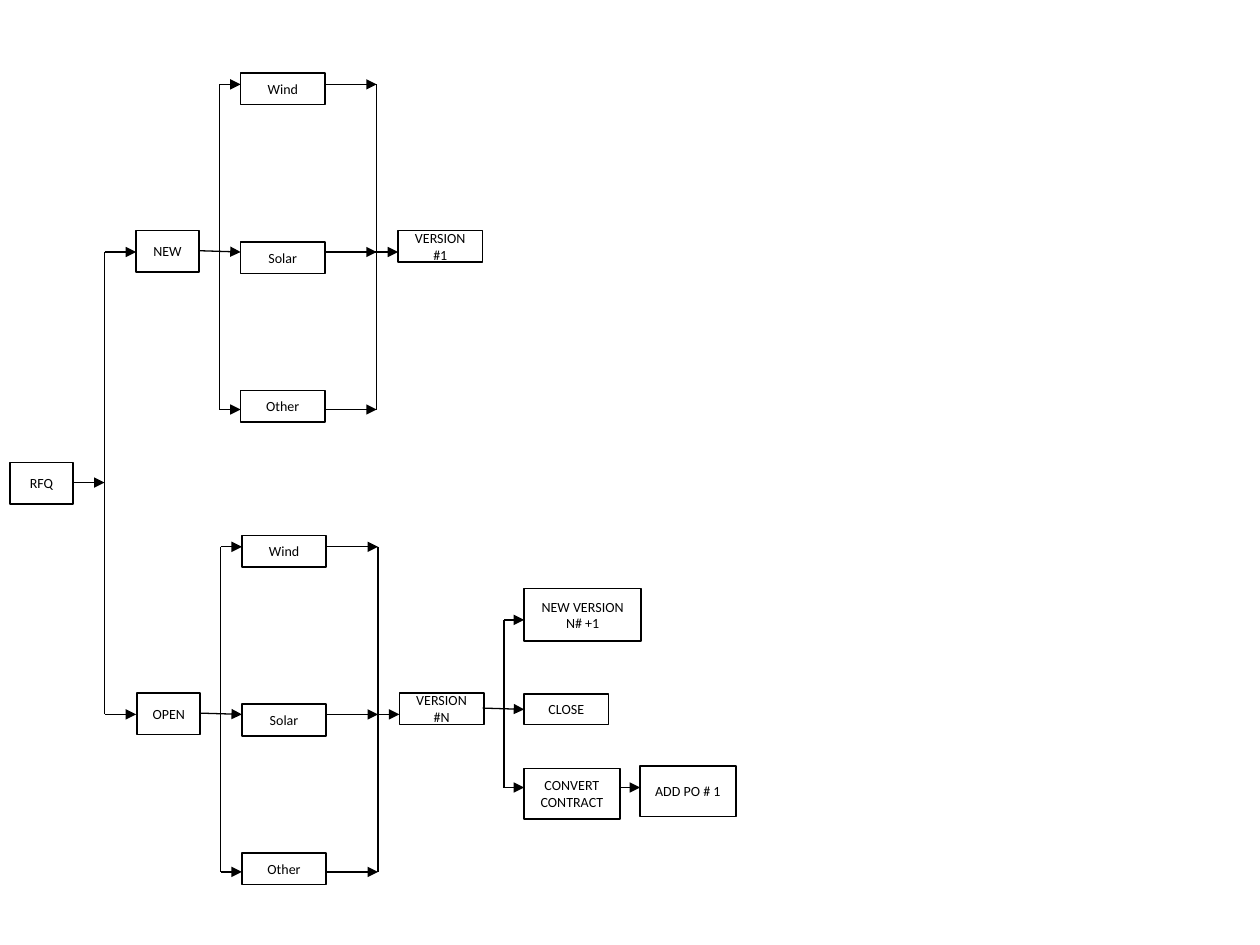
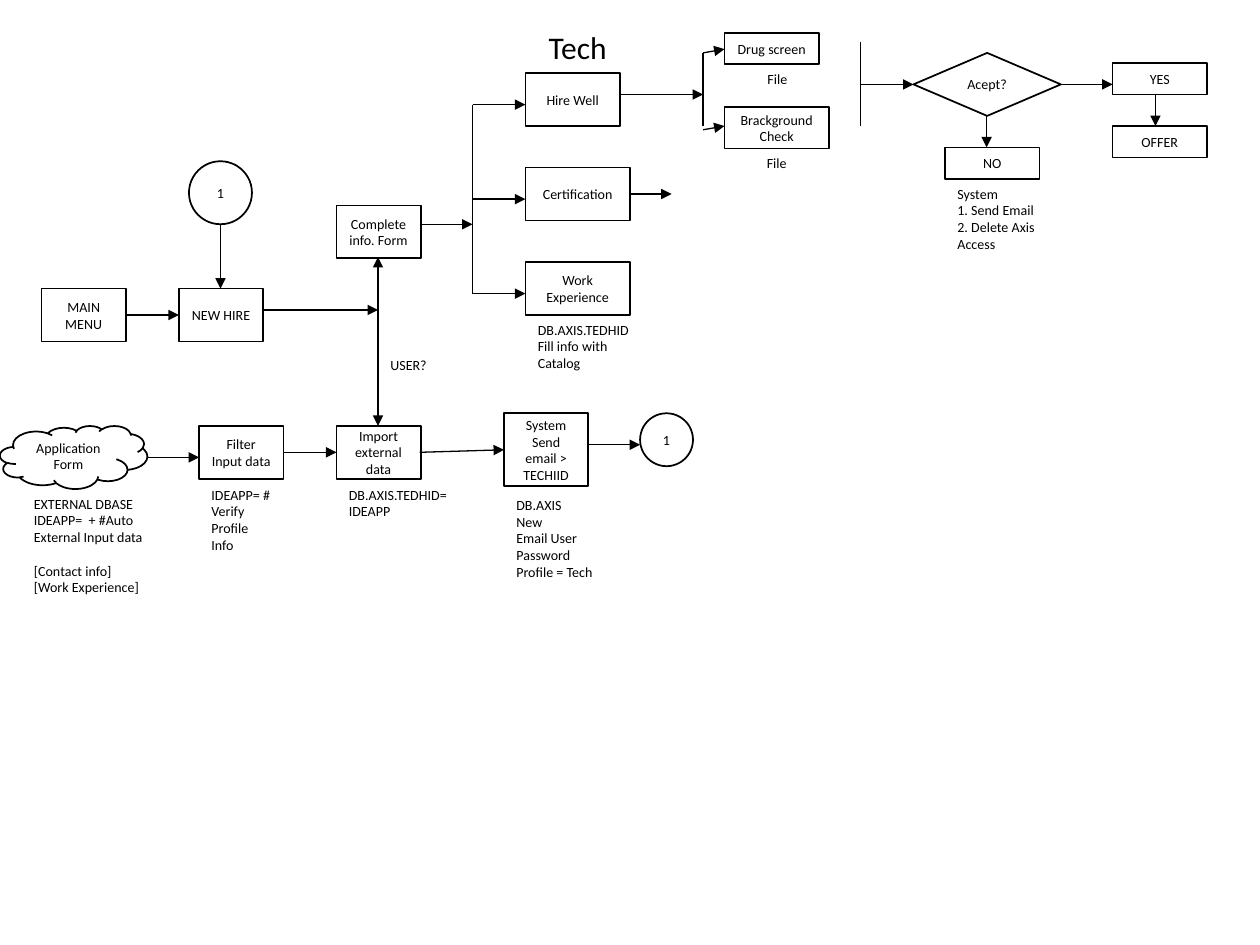
from dataclasses import dataclass

from lxml.etree import SubElement
from pptx import Presentation
from pptx.dml.color import RGBColor
from pptx.enum.shapes import MSO_CONNECTOR, MSO_SHAPE
from pptx.enum.text import MSO_ANCHOR, MSO_AUTO_SIZE, PP_ALIGN
from pptx.oxml.ns import qn
from pptx.util import Cm, Pt


@dataclass(frozen=True)
class Theme:
    """Colours, type sizes and line widths of both slides."""
    ink: RGBColor = RGBColor(0, 0, 0)
    paper: RGBColor = RGBColor(255, 255, 255)
    font: str = "Calibri"
    body: Pt = Pt(8)
    title: Pt = Pt(18)
    gap: Pt = Pt(9.6)
    outline: Pt = Pt(1)
    wire: Pt = Pt(0.75)


THEME = Theme()
CM_PER_UNIT = 2.54  # the drawing grid counts ten units across the slide


def length(units):
    """Turn grid units into a slide length."""
    return Cm(units * CM_PER_UNIT)


def format_text(text_frame, size=THEME.body, align=PP_ALIGN.CENTER):
    """Give every paragraph the theme's type."""
    for paragraph in text_frame.paragraphs:
        paragraph.alignment = align
        for run in paragraph.runs:
            run.font.name = THEME.font
            run.font.size = size
            run.font.bold = False
            run.font.color.rgb = THEME.ink


@dataclass
class Region:
    """A part of the flow chart; its parts are placed from its top left corner."""
    slide: object
    left: float
    top: float

    def place(self, left, top, width, height):
        """Return the slide position of a box inside the region."""
        return (length(self.left + left), length(self.top + top),
                length(width), length(height))

    def box(self, text, left, top, width=0.67, height=0.42,
            kind=MSO_SHAPE.RECTANGLE):
        """Draw an outlined step with centred text."""
        shape = self.slide.shapes.add_shape(
            kind, *self.place(left, top, width, height))
        shape.shadow.inherit = False
        shape.fill.background()
        shape.line.color.rgb = THEME.ink
        shape.line.width = THEME.outline
        text_frame = shape.text_frame
        text_frame.text = text
        text_frame.word_wrap = True
        text_frame.vertical_anchor = MSO_ANCHOR.MIDDLE
        format_text(text_frame)
        return shape

    def note(self, text, left, top, width, height, align=PP_ALIGN.LEFT):
        """Write unframed text beside a step."""
        shape = self.slide.shapes.add_textbox(
            *self.place(left, top, width, height))
        text_frame = shape.text_frame
        text_frame.text = text
        text_frame.word_wrap = True
        text_frame.auto_size = MSO_AUTO_SIZE.SHAPE_TO_FIT_TEXT
        format_text(text_frame, align=align)
        return text_frame

    def line(self, start_x, start_y, end_x, end_y, ends=()):
        """Draw a straight line, with arrowheads at the given ends."""
        connector = self.slide.shapes.add_connector(
            MSO_CONNECTOR.STRAIGHT,
            length(self.left + start_x), length(self.top + start_y),
            length(self.left + end_x), length(self.top + end_y))
        connector.line.color.rgb = THEME.ink
        connector.line.width = THEME.wire
        properties = connector._element.spPr
        for end in ends:
            SubElement(properties.find(qn("a:ln")), qn(f"a:{end}"), type="triangle")
        SubElement(properties, qn("a:effectLst"))

    def arrow(self, start_x, start_y, end_x, end_y):
        """Draw a line with an arrowhead at its end."""
        self.line(start_x, start_y, end_x, end_y, ["tailEnd"])

    def across(self, start_x, end_x, *levels):
        """Draw a level arrow at each height."""
        for level in levels:
            self.arrow(start_x, level, end_x, level)


def draw_request(slide, left, top):
    """The request and its fork into new and open."""
    region = Region(slide, left, top)
    region.box("RFQ", 0, 1.67, 0.5, 0.33)
    region.across(0.5, 0.75, 1.83)
    region.line(0.75, 0, 0.75, 3.67)
    region.across(0.75, 1, 0, 3.67)


def draw_energy_branch(slide, left, top, state, version):
    """A state, its three energy kinds and the version they lead to."""
    region = Region(slide, left, top)
    levels = first, middle, last = 0.09, 1.42, 2.67
    region.box(state, 0, 1.25, 0.5, 0.33)
    for kind, kind_top in (("Wind", 0), ("Solar", 1.34), ("Other", 2.52)):
        region.box(kind, 0.83, kind_top, height=0.25)
    for trunk in (0.66, 1.91):
        region.line(trunk, first, trunk, last)
    region.across(0.66, 0.83, first, last)
    region.arrow(0.5, 1.41, 0.83, middle)
    region.across(1.5, 1.91, *levels)
    region.across(1.83, 2.08, middle)
    region.box(version, 2.08, 1.25, height=0.25)


def draw_outcomes(slide, left, top):
    """What can follow an open version."""
    region = Region(slide, left, top)
    region.box("NEW VERSION N# +1", 0.33, 0, 0.93, 0.42)
    region.box("CLOSE", 0.33, 0.84, 0.67, 0.24)
    region.box("CONVERT CONTRACT", 0.33, 1.43, 0.76, 0.4)
    region.box("ADD PO # 1", 1.25, 1.41, 0.76, 0.4)
    region.line(0.17, 0.25, 0.17, 1.58)
    region.across(0.17, 0.33, 0.25, 1.58)
    region.arrow(0, 0.95, 0.33, 0.96)
    region.across(1.09, 1.25, 1.58)


def draw_title(slide, text, left, top, width, height):
    """Move and format the title placeholder."""
    title = slide.shapes.title
    title.left, title.top, title.width, title.height = map(
        length, (left, top, width, height))
    text_frame = title.text_frame
    text_frame.text = text
    text_frame.word_wrap = False
    text_frame.auto_size = MSO_AUTO_SIZE.NONE
    text_frame.vertical_anchor = MSO_ANCHOR.TOP
    format_text(text_frame, THEME.title)


def draw_hire_entry(slide, left, top):
    """The way from the main menu to the information form."""
    region = Region(slide, left, top)
    region.box("1", 1.17, 0, 0.5, 0.5, MSO_SHAPE.OVAL)
    region.box("MAIN MENU", 0, 1.01)
    region.box("NEW HIRE", 1.09, 1.01)
    region.box("Complete info. Form", 2.34, 0.35)
    region.note("USER?", 2.67, 1.5, 0.67, 0.24)
    region.arrow(1.42, 0.5, 1.42, 1.01)
    region.across(0.67, 1.09, 1.22)
    region.across(1.75, 2.67, 1.18)
    region.across(3, 3.42, 0.5)
    region.line(2.67, 0.76, 2.67, 2.1, ["headEnd", "tailEnd"])


def draw_intake(slide, left, top):
    """The row that takes in an application."""
    region = Region(slide, left, top)
    cloud = region.box("Application Form", 0, 0.1, 1.17, 0.5, MSO_SHAPE.CLOUD)
    cloud.fill.solid()
    cloud.fill.fore_color.rgb = THEME.paper
    region.box("Filter Input data", 1.58, 0.1)
    region.box("Import external data", 2.67, 0.1)
    region.box("System Send email > TECHIID", 4, 0, height=0.58)
    region.box("1", 5.08, 0, 0.42, 0.42, MSO_SHAPE.OVAL)

    source = region.note(
        "EXTERNAL DBASE\nIDEAPP=  + #Auto\nExternal Input data\n"
        "[Contact info]\n[Work Experience]", 0.17, 0.6, 1.08, 0.91)
    source.paragraphs[3].space_before = THEME.gap
    region.note("IDEAPP= #\nVerify Profile Info", 1.58, 0.53, 0.67, 0.64)
    region.note("DB.AXIS.TEDHID=\nIDEAPP", 2.67, 0.53, 1, 0.37)
    region.note("DB.AXIS\nNew\nEmail User\nPassword\nProfile = Tech",
                4, 0.61, 1, 0.77)

    region.across(1.17, 1.58, 0.35)
    region.across(2.25, 2.67, 0.31)
    region.arrow(3.33, 0.31, 4, 0.29)
    region.across(4.67, 5.08, 0.25)


def draw_checks(slide, left, top):
    """The three checks that follow the form."""
    region = Region(slide, left, top)
    pitch = 0.75
    region.line(0, 0.25, 0, 0.25 + 2 * pitch)
    checks = (("Hire Well", 0.75), ("Certification", 0.83), ("Work Experience", 0.83))
    for row, (check, width) in enumerate(checks):
        region.box(check, 0.42, row * pitch, width)
        region.across(0, 0.42, 0.25 + row * pitch)
    region.note("DB.AXIS.TEDHID\nFill info with Catalog", 0.42, 1.92, 1, 0.5)
    region.across(1.17, 1.83, 0.17)
    region.across(1.25, 1.58, 0.96)


def draw_screening(slide, left, top):
    """The two screenings, each with its file."""
    region = Region(slide, left, top)
    region.box("Drug screen", 0.17, 0, 0.75, 0.25)
    region.box("Brackground Check", 0.17, 0.59, 0.83, 0.33)
    region.note("File", 0.09, 0.25, 1, 0.24, PP_ALIGN.CENTER)
    region.note("File", 0.17, 0.92, 0.83, 0.24, PP_ALIGN.CENTER)
    region.line(0, 0.16, 0, 0.74)
    for level in (0.16, 0.77):
        region.arrow(0, level, 0.17, level - 0.03)


def draw_decision(slide, left, top):
    """The decision and both of its answers."""
    region = Region(slide, left, top)
    region.line(0, 0, 0, 0.67)
    region.box("Acept?", 0.42, 0.09, 1.17, 0.5, MSO_SHAPE.FLOWCHART_DECISION)
    for answer, answer_left, answer_top in (
            ("NO", 0.67, 0.84), ("YES", 2, 0.17), ("OFFER", 2, 0.67)):
        region.box(answer, answer_left, answer_top, 0.75, 0.25)
    region.note("System\n1. Send Email\n2. Delete Axis Access",
                0.67, 1.09, 1.08, 0.64)
    region.across(0, 0.42, 0.34)
    region.across(1.59, 2, 0.34)
    region.arrow(1, 0.59, 1, 0.84)
    region.arrow(2.34, 0.42, 2.34, 0.67)


def build_request_slide(presentation):
    """The slide that follows a request for quotation."""
    slide = presentation.slides.add_slide(presentation.slide_layouts[6])
    draw_request(slide, 0.08, 2)
    draw_energy_branch(slide, 1.08, 0.58, "NEW", "VERSION #1")
    draw_energy_branch(slide, 1.09, 4.25, "OPEN", "VERSION #N")
    draw_outcomes(slide, 3.83, 4.67)


def build_hiring_slide(presentation):
    """The slide that follows a technician's hiring."""
    slide = presentation.slides.add_slide(presentation.slide_layouts[5])
    draw_title(slide, "Tech", 4.25, 0.17, 0.67, 0.4)
    draw_hire_entry(slide, 0.33, 1.28)
    draw_intake(slide, 0, 3.28)
    draw_checks(slide, 3.75, 0.58)
    draw_screening(slide, 5.58, 0.26)
    draw_decision(slide, 6.83, 0.33)


presentation = Presentation()
presentation.slide_width = Cm(25.4)
presentation.slide_height = Cm(19.05)
build_request_slide(presentation)
build_hiring_slide(presentation)
presentation.save("out.pptx")
